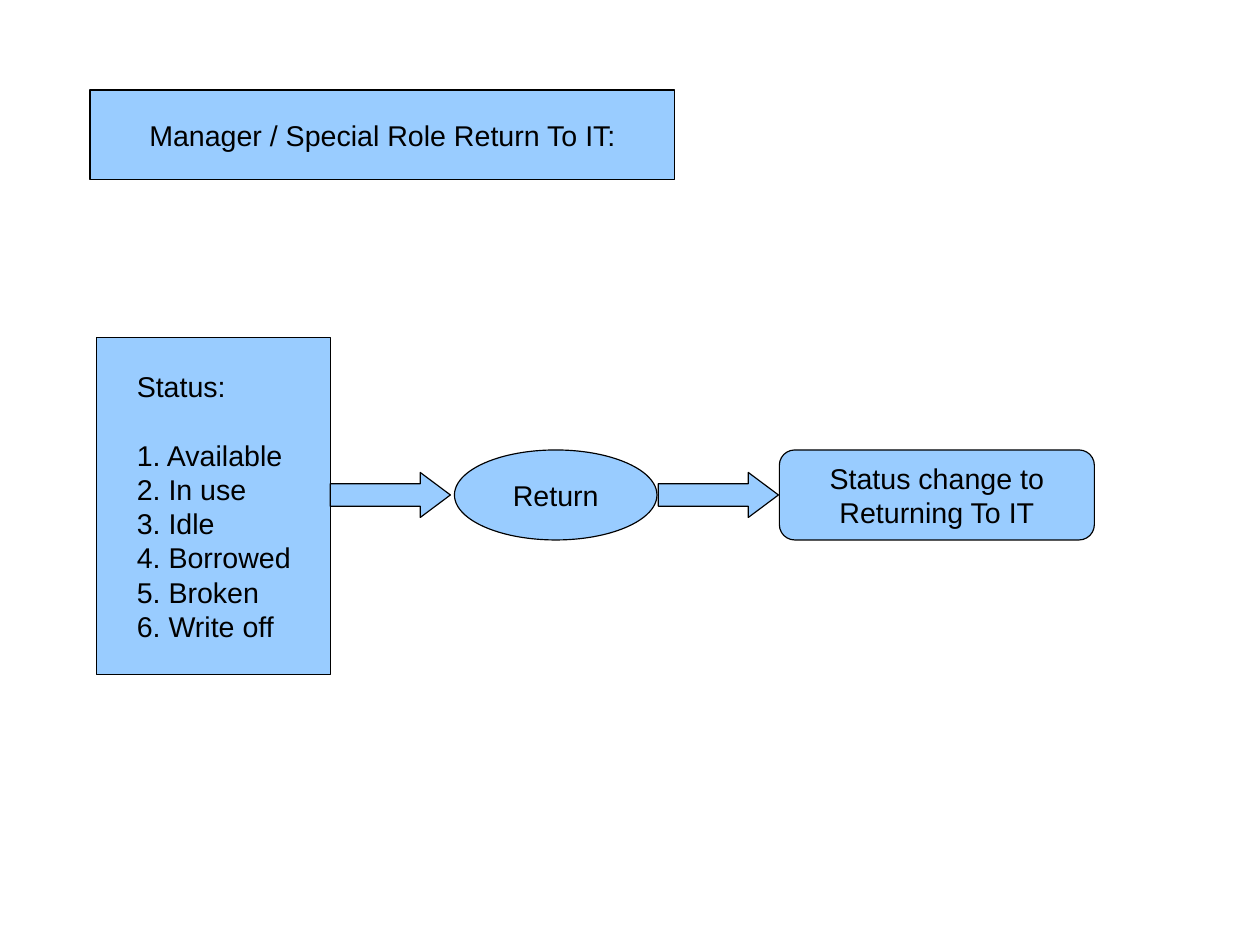
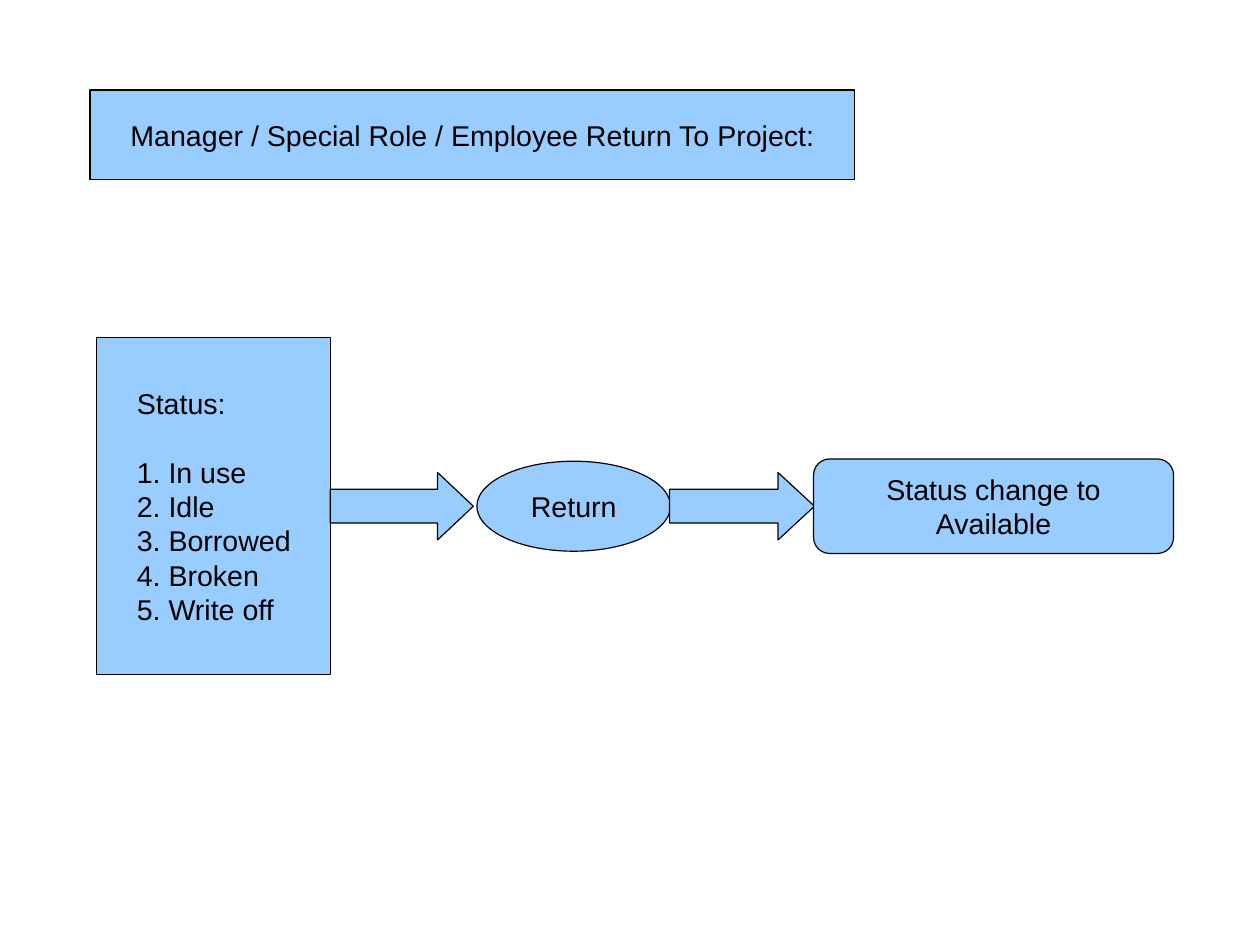
from pptx import Presentation
from pptx.dml.color import RGBColor
from pptx.enum.shapes import MSO_SHAPE
from pptx.enum.text import MSO_ANCHOR, PP_ALIGN
from pptx.util import Cm, Pt

BLUE = RGBColor(0x99, 0xCC, 0xFF)
BLACK = RGBColor(0, 0, 0)
RECT = MSO_SHAPE.RECTANGLE
OVAL = MSO_SHAPE.OVAL
ROUND = MSO_SHAPE.ROUNDED_RECTANGLE
ARROW = MSO_SHAPE.RIGHT_ARROW
LEFT = PP_ALIGN.LEFT
CENTER = PP_ALIGN.CENTER
MIDDLE = MSO_ANCHOR.MIDDLE

COLS, ROWS = 28, 21
deck = Presentation()
deck.slide_width = Cm(COLS)
deck.slide_height = Cm(ROWS)
col = deck.slide_width / COLS
row = deck.slide_height / ROWS


def write(shape, lines, align=CENTER, inset=0.25, gap=0):
    frame = shape.text_frame
    frame.word_wrap = True
    frame.vertical_anchor = MIDDLE
    frame.margin_left = int(inset * col)
    for i, line in enumerate(lines):
        para = frame.paragraphs[0] if i == 0 else frame.add_paragraph()
        para.alignment = align
        para.space_after = Pt(0 if i else gap)
        run = para.add_run()
        run.text = line
        run.font.name = "Arial"
        run.font.size = Pt(18)
        run.font.color.rgb = BLACK


def draw(slide, kind, left, mid, width, height, adjust=()):
    top = mid - height / 2
    shape = slide.shapes.add_shape(
        kind, int(left * col), int(top * row), int(width * col), int(height * row))
    shape.shadow.inherit = False
    shape.fill.solid()
    shape.fill.fore_color.rgb = BLUE
    shape.line.color.rgb = BLACK
    shape.line.width = Pt(0)
    for i, value in enumerate(adjust):
        shape.adjustments[i] = value
    return shape


BOX_LEFT, BOX_WIDTH = 2.14, 5.2
BOX_RIGHT = BOX_LEFT + BOX_WIDTH

flows = [
    dict(title="Manager / Special Role Return To IT:", wide=13,
         states=["Available", "In use", "Idle", "Borrowed", "Broken", "Write off"],
         mid=11, oval=(10.1, 4.5, 2), end=(17.32, 7, 2),
         arrows=[(BOX_RIGHT, 2.67, 0.67), (14.63, 2.67, 0.67)], thick=1, level=11,
         result=["Status change to", "Returning To IT"]),
    dict(title="Manager / Special Role / Employee Return To Project:", wide=17,
         states=["In use", "Idle", "Borrowed", "Broken", "Write off"],
         mid=11.25, oval=(10.6, 4.3, 2), end=(18.08, 8, 2.1),
         arrows=[(BOX_RIGHT, 3.18, 0.53), (14.88, 3.22, 0.54)], thick=1.5, level=11.25,
         result=["Status change to Available"]),
]

for flow in flows:
    slide = deck.slides.add_slide(deck.slide_layouts[6])
    mid = flow["mid"]

    title = draw(slide, RECT, 2, 3, flow["wide"], 2)
    write(title, [flow["title"]])

    box = draw(slide, RECT, BOX_LEFT, 11.25, BOX_WIDTH, 7.5)
    items = [f"{n}. {state}" for n, state in enumerate(flow["states"], 1)]
    write(box, ["Status:"] + items, align=LEFT, inset=0.9, gap=21.5)

    left, width, height = flow["oval"]
    step = draw(slide, OVAL, left, mid, width, height)
    write(step, ["Return"])

    for left, width, head in flow["arrows"]:
        draw(slide, ARROW, left, flow["level"], width, flow["thick"], (0.5, head))

    left, width, height = flow["end"]
    end = draw(slide, ROUND, left, mid, width, height, (0.17,))
    write(end, flow["result"])

deck.save("out.pptx")
